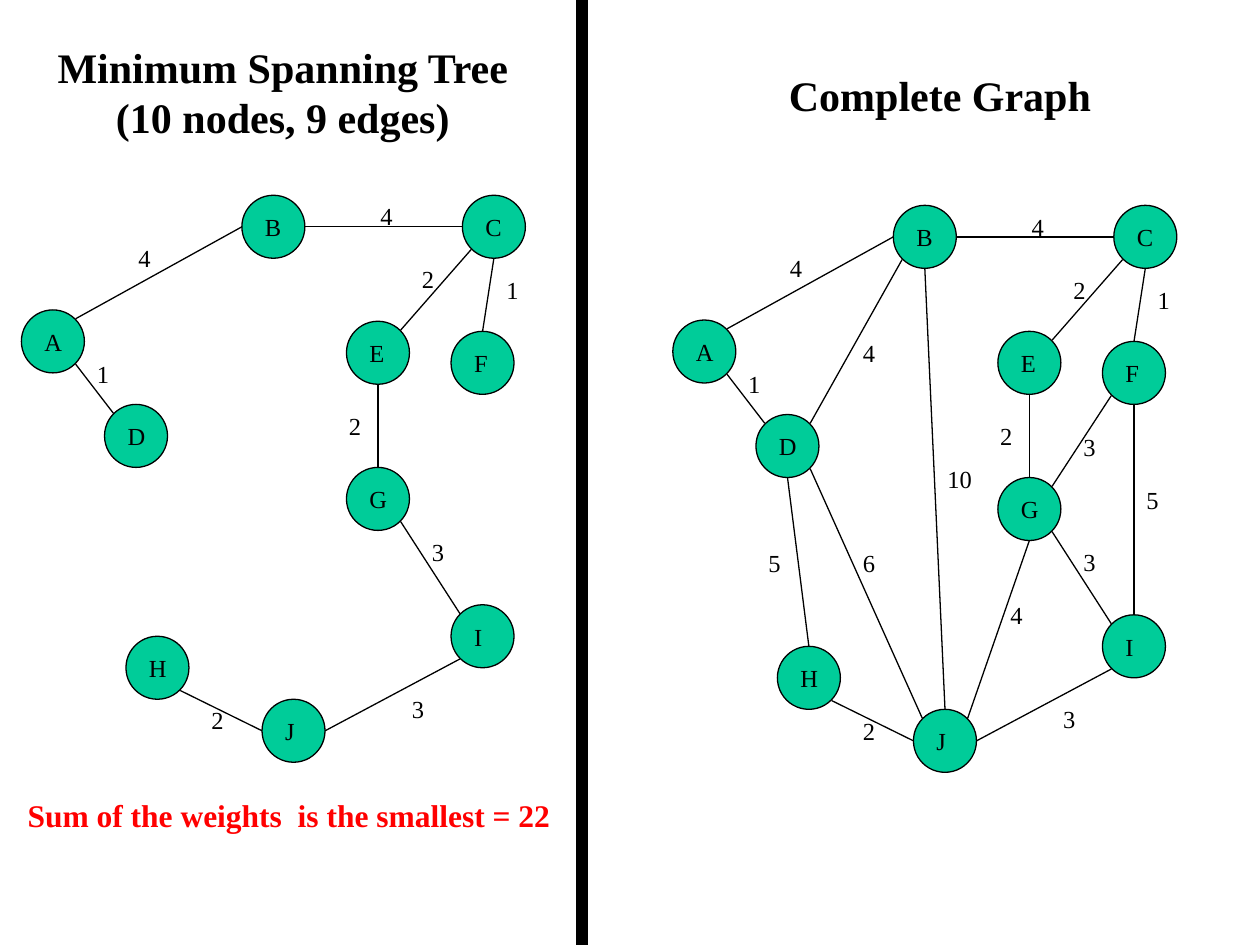
"""Build a slide comparing a minimum spanning tree with its complete graph."""
from dataclasses import dataclass

from lxml import etree
from pptx import Presentation
from pptx.dml.color import RGBColor
from pptx.enum.shapes import MSO_CONNECTOR, MSO_SHAPE
from pptx.enum.text import MSO_ANCHOR, MSO_AUTO_SIZE, PP_ALIGN
from pptx.oxml.ns import qn
from pptx.util import Inches, Pt

OVAL, RECT = MSO_SHAPE.OVAL, MSO_SHAPE.RECTANGLE
STRAIGHT = MSO_CONNECTOR.STRAIGHT
LEFT, CENTER = PP_ALIGN.LEFT, PP_ALIGN.CENTER
MIDDLE = MSO_ANCHOR.MIDDLE
FIT_TEXT = MSO_AUTO_SIZE.SHAPE_TO_FIT_TEXT

NODE_SIZE = 0.5
RADIUS = NODE_SIZE / 2
DIAGONAL = 0.18
SITES = {
    "N": (0, -RADIUS), "S": (0, RADIUS), "W": (-RADIUS, 0), "E": (RADIUS, 0),
    "NW": (-DIAGONAL, -DIAGONAL), "NE": (DIAGONAL, -DIAGONAL),
    "SW": (-DIAGONAL, DIAGONAL), "SE": (DIAGONAL, DIAGONAL),
}
NODES = {
    "A": (0.17, 2.46), "B": (1.92, 1.55), "C": (3.67, 1.55), "D": (0.83, 3.21),
    "E": (2.75, 2.55), "F": (3.58, 2.63), "G": (2.75, 3.71), "H": (1, 5.05),
    "I": (3.58, 4.8), "J": (2.08, 5.55),
}
TREE_EDGES = [
    ("A", "NE", "B", "W", "4", 1, 1.88),
    ("B", "E", "C", "W", "4", 2.92, 1.55),
    ("A", "SE", "D", "NW", "1", 0.67, 2.8),
    ("C", "SW", "E", "NE", "2", 3.25, 2.05),
    ("C", "S", "F", "N", "1", 3.92, 2.13),
    ("E", "S", "G", "N", "2", 2.67, 3.21),
    ("G", "SE", "I", "NW", "3", 3.33, 4.21),
    ("I", "SW", "J", "E", "3", 3.17, 5.46),
    ("H", "SE", "J", "W", "2", 1.58, 5.55),
]
OTHER_EDGES = [
    ("B", "SW", "D", "NE", "4", 1.58, 2.55),
    ("B", "S", "J", "N", "10", 2.25, 3.55),
    ("D", "S", "H", "N", "5", 0.83, 4.22),
    ("D", "SE", "J", "NW", "6", 1.58, 4.22),
    ("F", "SW", "G", "NE", "3", 3.33, 3.3),
    ("F", "S", "I", "N", "5", 3.83, 3.72),
    ("G", "S", "J", "NE", "4", 2.75, 4.63),
]


@dataclass(frozen=True)
class Theme:
    font: str = "Times New Roman"
    ink: RGBColor = RGBColor(0, 0, 0)
    node: RGBColor = RGBColor(0x00, 0xCC, 0x99)
    accent: RGBColor = RGBColor(0xFF, 0, 0)
    title: Pt = Pt(24)
    note: Pt = Pt(18)
    label: Pt = Pt(14)
    line: Pt = Pt(0.75)


class GraphSlide:
    def __init__(self, slide, theme):
        self.shapes = slide.shapes
        self.theme = theme

    def fill_text(self, tf, lines, size, color, bold=False, align=LEFT):
        for i, line in enumerate(lines):
            p = tf.add_paragraph() if i else tf.paragraphs[0]
            p.text = line
            p.alignment = align
            p.font.name = self.theme.font
            p.font.size = size
            p.font.bold = bold
            p.font.color.rgb = color

    def text(self, x, y, w, h, lines, size, color, wrap=True, **style):
        s = self.shapes.add_textbox(Inches(x), Inches(y), Inches(w), Inches(h))
        tf = s.text_frame
        tf.word_wrap = wrap
        tf.auto_size = FIT_TEXT
        self.fill_text(tf, lines, size, color, **style)

    def title(self, x, y, w, h, lines):
        self.text(x, y, w, h, lines, self.theme.title, self.theme.ink,
                  bold=True, align=CENTER)

    def shape(self, kind, x, y, w, h, fill):
        s = self.shapes.add_shape(kind, Inches(x), Inches(y), Inches(w), Inches(h))
        s.shadow.inherit = False
        s.fill.solid()
        s.fill.fore_color.rgb = fill
        s.line.color.rgb = self.theme.ink
        s.line.width = self.theme.line
        return s

    def node(self, x, y, name):
        s = self.shape(OVAL, x, y, NODE_SIZE, NODE_SIZE, self.theme.node)
        tf = s.text_frame
        tf.word_wrap = True
        tf.vertical_anchor = MIDDLE
        tf.margin_left = Inches(0.11)
        tf.margin_right = tf.margin_top = tf.margin_bottom = 0
        self.fill_text(tf, [name], self.theme.label, self.theme.ink)

    def edge(self, start, end):
        s = self.shapes.add_connector(
            STRAIGHT, *(Inches(v) for v in (*start, *end)))
        s.line.color.rgb = self.theme.ink
        s.line.width = self.theme.line
        etree.SubElement(s._element.spPr, qn("a:effectLst"))

    def weight(self, x, y, value):
        self.text(x, y, 0.2 + 0.1 * len(value), 0.33, [value],
                  self.theme.label, self.theme.ink, wrap=False)

    def graph(self, edges, dx=0, dy=0):
        def site(name, side):
            x, y = NODES[name]
            sx, sy = SITES[side]
            return x + RADIUS + sx + dx, y + RADIUS + sy + dy

        for a, side_a, b, side_b, *_ in edges:
            self.edge(site(a, side_a), site(b, side_b))
        for name, (x, y) in NODES.items():
            self.node(x + dx, y + dy, name)
        for *_, value, x, y in edges:
            self.weight(x + dx, y + dy, value)


def main():
    prs = Presentation()
    prs.slide_width, prs.slide_height = Inches(10), Inches(7.5)
    theme = Theme()
    page = GraphSlide(prs.slides.add_slide(prs.slide_layouts[6]), theme)

    page.shape(RECT, 4.58, 0, 0.08, 7.5, theme.ink)
    page.title(0.33, 0.28, 3.83, 0.94,
               ["Minimum Spanning Tree", "(10 nodes, 9 edges)"])
    page.graph(TREE_EDGES)
    page.text(0.12, 6.27, 4.59, 0.4, ["Sum of the weights  is the smallest = 22"],
              theme.note, theme.accent, bold=True)
    page.title(6, 0.5, 2.92, 0.5, ["Complete Graph"])
    page.graph(TREE_EDGES + OTHER_EDGES, dx=5.17, dy=0.08)

    prs.save("out.pptx")


if __name__ == "__main__":
    main()
